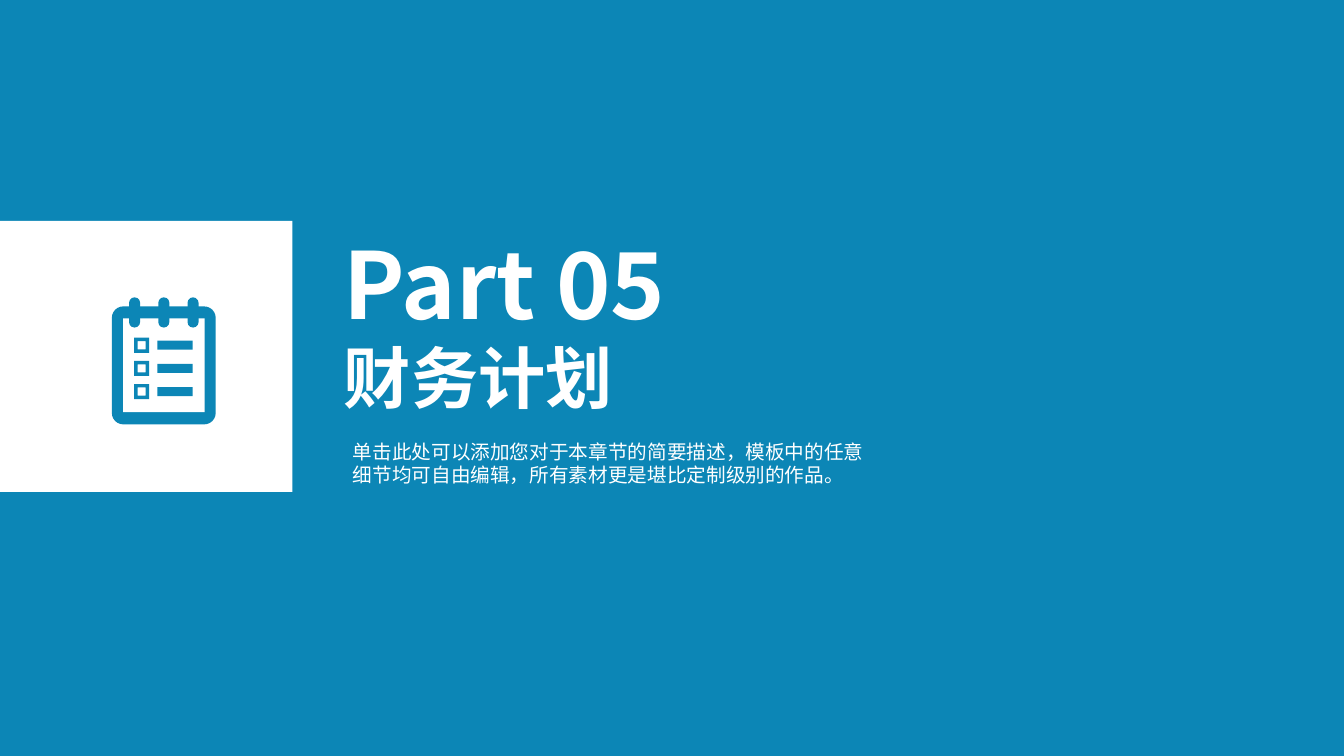
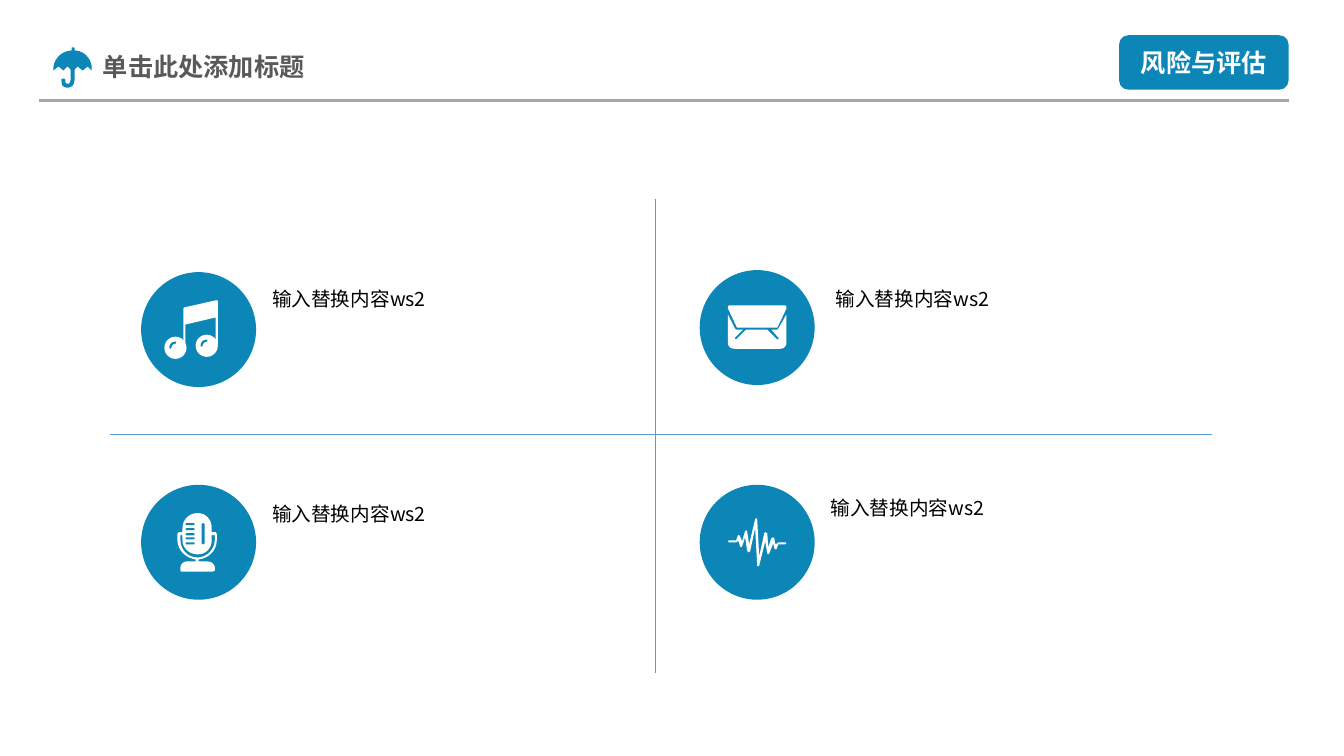
from lxml import etree
from pptx import Presentation
from pptx.dml.color import RGBColor
from pptx.enum.shapes import MSO_CONNECTOR, MSO_SHAPE
from pptx.enum.text import MSO_ANCHOR, MSO_AUTO_SIZE, PP_ALIGN
from pptx.oxml.ns import qn
from pptx.util import Pt

PX = 9144
SLIDE_WIDTH, SLIDE_HEIGHT = 1333, 750
SECTION_LAYOUT, TITLE_ONLY_LAYOUT = 2, 5
CURVE_STEPS = 8

BLUE, WHITE, BLACK = "0C86B6", "FFFFFF", "000000"
TITLE_GRAY, RULE_GRAY, CROSS_BLUE = "595959", "A6A6A6", "5B9BD5"
FONT = "Noto Sans CJK SC"

RECTANGLE, ROUNDED = MSO_SHAPE.RECTANGLE, MSO_SHAPE.ROUNDED_RECTANGLE
OVAL, FRAME = MSO_SHAPE.OVAL, MSO_SHAPE.FRAME
STRAIGHT = MSO_CONNECTOR.STRAIGHT
TOP, MIDDLE = MSO_ANCHOR.TOP, MSO_ANCHOR.MIDDLE
LEFT, CENTER = PP_ALIGN.LEFT, PP_ALIGN.CENTER
NO_AUTOFIT = MSO_AUTO_SIZE.NONE

UMBRELLA = [
    (10, 23), (14, 19), (17, 22), (17, 31), (17, 32, 17, 34, 16, 35),
    (16, 36, 16, 36, 14, 36), (13, 36, 13, 36, 12, 35), (12, 33),
    (12, 32, 11, 31, 10, 31), (9, 31, 8, 31, 8, 32), (8, 33, 8, 36, 9, 38),
    (10, 39, 12, 40, 14, 40), (16, 40, 18, 39, 19, 38), (21, 35, 21, 32, 21, 31),
    (21, 22), (24, 19), (29, 23), (34, 19), (38, 23), (38, 20),
    (38, 15, 34, 4, 21, 3), (21, 1), (21, 0, 20, 0, 19, 0), (19, 0, 18, 0, 18, 1),
    (18, 3), (5, 4, 0, 15, 0, 20), (0, 23), (5, 19),
]
NOTE_STEMS = [
    (19, 8), (20, 7), (51, 0), (53, 0), (53, 44), (51, 44), (51, 17),
    (21, 24), (21, 47), (19, 47),
]
NOTE_GLINT = [
    (11, 7), (9, 7, 7, 9, 7, 11), (6, 12), (5, 12, 5, 11, 5, 11),
    (5, 8, 7, 5, 11, 5), (12, 5, 12, 7, 11, 7),
]
ENVELOPE_FLAP = [(1, 0), (57, 0), (58, 1), (58, 3), (49, 22), (9, 22), (0, 3), (0, 1)]
ENVELOPE_BODY = [
    (49, 24), (43, 24), (50, 32), (51, 32, 51, 33, 50, 33), (49, 34), (48, 33),
    (39, 24), (18, 24), (9, 33), (8, 34), (7, 33), (7, 32), (15, 24), (8, 24),
    (7, 23), (0, 9), (0, 37), (0, 41, 3, 43, 6, 43), (52, 43),
    (55, 43, 58, 41, 58, 37), (58, 9), (50, 23),
]
MICROPHONE_BODY = [
    (39, 27), (39, 21), (39, 20, 38, 19, 38, 19), (34, 19), (34, 15),
    (34, 6, 28, 0, 20, 0), (12, 0, 5, 6, 5, 15), (5, 19), (2, 19),
    (1, 19, 0, 20, 0, 21), (0, 27), (0, 37, 9, 45, 18, 46), (18, 48), (9, 48),
    (6, 48, 3, 51, 3, 54), (3, 57), (4, 58), (35, 58), (37, 57), (37, 54),
    (37, 51, 34, 48, 30, 48), (21, 48), (21, 46), (31, 45, 39, 37, 39, 27),
]
MICROPHONE_GAP = [
    (20, 44), (10, 44, 3, 36, 3, 27), (3, 22), (5, 22), (5, 27),
    (5, 35, 12, 41, 20, 41), (28, 41, 34, 35, 34, 27), (34, 22), (37, 22),
    (37, 27), (37, 36, 29, 44, 20, 44),
]
PULSE = [
    (57, 24), (50, 24), (49, 25), (47, 26), (46, 20), (45, 19), (43, 20), (40, 29),
    (39, 15), (37, 14), (36, 15), (31, 38), (29, 1), (28, 0), (27, 1), (21, 26),
    (19, 13), (18, 12), (17, 13), (14, 23), (12, 18), (11, 17), (10, 17), (8, 22),
    (1, 22), (0, 23), (1, 24), (8, 24), (10, 23), (10, 21), (12, 28), (13, 29),
    (14, 28), (17, 19), (19, 32), (20, 34), (22, 33), (27, 10), (29, 47), (30, 48),
    (31, 47), (37, 23), (39, 35), (40, 36), (41, 35), (45, 25), (46, 30), (47, 31),
    (48, 31), (50, 26), (57, 26), (58, 25),
]


def color(value):
    return RGBColor.from_string(value)


def emu(*lengths):
    return [round(length * PX) for length in lengths]


def paint(shape, fill):
    shape.shadow.inherit = False
    shape.fill.solid()
    shape.fill.fore_color.rgb = color(fill)
    shape.line.fill.background()
    return shape


def add_preset(shapes, kind, box, fill, adjustment=None):
    shape = paint(shapes.add_shape(kind, *emu(*box)), fill)
    if adjustment is not None:
        shape.adjustments[0] = adjustment
    return shape


def flatten(outline):
    points = [outline[0]]
    for segment in outline[1:]:
        if len(segment) == 2:
            points.append(segment)
            continue
        nodes = list(zip((*points[-1], *segment)[::2], (*points[-1], *segment)[1::2]))
        for step in range(1, CURVE_STEPS + 1):
            t = step / CURVE_STEPS
            weights = ((1 - t) ** 3, 3 * t * (1 - t) ** 2, 3 * t * t * (1 - t), t ** 3)
            points.append(tuple(
                sum(weight * node[axis] for weight, node in zip(weights, nodes))
                for axis in (0, 1)))
    return points


def add_outline(shapes, left, top, fill, *outlines):
    builder = None
    for outline in outlines:
        points = [emu(left + x, top + y) for x, y in flatten(outline)]
        if builder is None:
            builder = shapes.build_freeform(*points[0], scale=1.0)
        else:
            builder.move_to(*points[0])
        builder.add_line_segments(points[1:], close=True)
    return paint(builder.convert_to_shape(), fill)


def add_line(slide, ends, line_color, width):
    connector = slide.shapes.add_connector(STRAIGHT, *emu(*ends))
    connector.line.color.rgb = color(line_color)
    connector.line.width = Pt(width)
    etree.SubElement(connector._element.spPr, qn("a:effectLst"))


def write(shape, text, size, text_color, bold=False, align=LEFT, anchor=TOP):
    frame = shape.text_frame
    frame.word_wrap = True
    frame.auto_size = NO_AUTOFIT
    frame.vertical_anchor = anchor
    paragraph = frame.paragraphs[0]
    paragraph.alignment = align
    paragraph.space_before = Pt(0)
    run = paragraph.add_run()
    run.text = text
    run.font.size = Pt(size)
    run.font.bold = bold
    run.font.color.rgb = color(text_color)
    run.font.name = FONT
    east_asian = etree.SubElement(run._r.get_or_add_rPr(), qn("a:ea"))
    east_asian.set("typeface", FONT)


def add_label(shapes, box, text, size, text_color, bold=False):
    write(shapes.add_textbox(*emu(*box)), text, size, text_color, bold)


def fill_placeholder(shape, box, text, size, text_color, bold=False):
    shape.left, shape.top, shape.width, shape.height = emu(*box)
    write(shape, text, size, text_color, bold)


def new_slide(presentation, layout, background):
    slide = presentation.slides.add_slide(presentation.slide_layouts[layout])
    slide.background.fill.solid()
    slide.background.fill.fore_color.rgb = color(background)
    return slide


def draw_notepad(shapes, left, top):
    add_preset(shapes, ROUNDED, (left, top + 9, 103, 117), BLUE, 0.11)
    add_preset(shapes, RECTANGLE, (left + 11, top + 21, 81, 93), WHITE)
    for ring in range(3):
        add_preset(shapes, ROUNDED, (left + 17 + 29 * ring, top, 11, 30), BLUE, 0.5)
    for row in range(3):
        row_top = top + 40 + 23 * row
        add_preset(shapes, FRAME, (left + 22, row_top, 15, 15), BLUE, 0.23)
        add_preset(shapes, RECTANGLE, (left + 45, row_top + 3, 35, 9), BLUE)


def draw_music(shapes, left, top):
    add_outline(shapes, left, top, WHITE, NOTE_STEMS)
    for head_left, head_top in ((0, 36), (31, 34)):
        x, y = left + head_left, top + head_top
        add_preset(shapes, OVAL, (x, y, 22, 22), WHITE)
        add_outline(shapes, x, y, BLUE, NOTE_GLINT)


def draw_envelope(shapes, left, top):
    add_outline(shapes, left, top, WHITE, ENVELOPE_BODY)
    add_outline(shapes, left, top, WHITE, ENVELOPE_FLAP)


def draw_microphone(shapes, left, top):
    add_outline(shapes, left, top, WHITE, MICROPHONE_BODY, MICROPHONE_GAP)
    add_preset(shapes, ROUNDED, (left + 24, top + 10, 3, 21), BLUE, 0.5)
    for slot in range(5):
        slot_top = top + 10 + round(4.75 * slot)
        add_preset(shapes, ROUNDED, (left + 8, slot_top, 9, 2), BLUE, 0.5)


def draw_pulse(shapes, left, top):
    add_outline(shapes, left, top, WHITE, PULSE)


def add_header(slide, left, top, title, tag):
    add_line(slide, (left, top + 65, left + 1239, top + 65), RULE_GRAY, 2.25)
    badge = add_preset(slide.shapes, ROUNDED, (left + 1071, top, 168, 54), BLUE)
    write(badge, tag, 18, WHITE, True, CENTER, MIDDLE)
    fill_placeholder(slide.shapes.title, (left + 53, top + 11, 236, 40),
                     title, 18, TITLE_GRAY, True)
    add_outline(slide.shapes, left + 14, top + 12, BLUE, UMBRELLA)


def add_topic(slide, left, top, label_offset, draw_icon, icon_offset, text):
    shapes = slide.shapes.add_group_shape().shapes
    add_preset(shapes, OVAL, (left, top, 114, 114), BLUE)
    draw_icon(shapes, left + icon_offset[0], top + icon_offset[1])
    add_label(shapes, (left + label_offset[0], top + label_offset[1], 367, 34),
              text, 14, BLACK)


def build_section_slide(presentation, part, title, description):
    slide = new_slide(presentation, SECTION_LAYOUT, BLUE)
    add_preset(slide.shapes, RECTANGLE, (0, 219, 290, 269), WHITE)
    fill_placeholder(slide.shapes.title, (331, 329, 406, 91), title, 48, WHITE, True)
    add_label(slide.shapes, (331, 220, 586, 121), part, 66, WHITE, True)
    fill_placeholder(slide.placeholders[1], (340, 431, 539, 57), description, 14, WHITE)
    draw_notepad(slide.shapes.add_group_shape().shapes, 111, 295)


def build_quadrant_slide(presentation, title, tag, topics):
    slide = new_slide(presentation, TITLE_ONLY_LAYOUT, WHITE)
    add_header(slide, 39, 35, title, tag)
    add_line(slide, (109, 431, 1202, 431), CROSS_BLUE, 1)
    add_line(slide, (650, 197, 650, 668), CROSS_BLUE, 1)
    for topic in topics:
        add_topic(slide, *topic)


def main():
    presentation = Presentation()
    presentation.slide_width, presentation.slide_height = emu(SLIDE_WIDTH, SLIDE_HEIGHT)
    build_section_slide(
        presentation, "Part 05", "财务计划",
        "单击此处可以添加您对于本章节的简要描述，模板中的任意细节均可自由编辑，"
        "所有素材更是堪比定制级别的作品。")
    text = "输入替换内容ws2"
    build_quadrant_slide(presentation, "单击此处添加标题", "风险与评估", [
        (140, 270, (120, 10), draw_music, (23, 28), text),
        (694, 268, (125, 12), draw_envelope, (28, 35), text),
        (140, 481, (120, 12), draw_microphone, (36, 28), text),
        (694, 481, (120, 6), draw_pulse, (28, 33), text),
    ])
    presentation.save("out.pptx")


if __name__ == "__main__":
    main()
